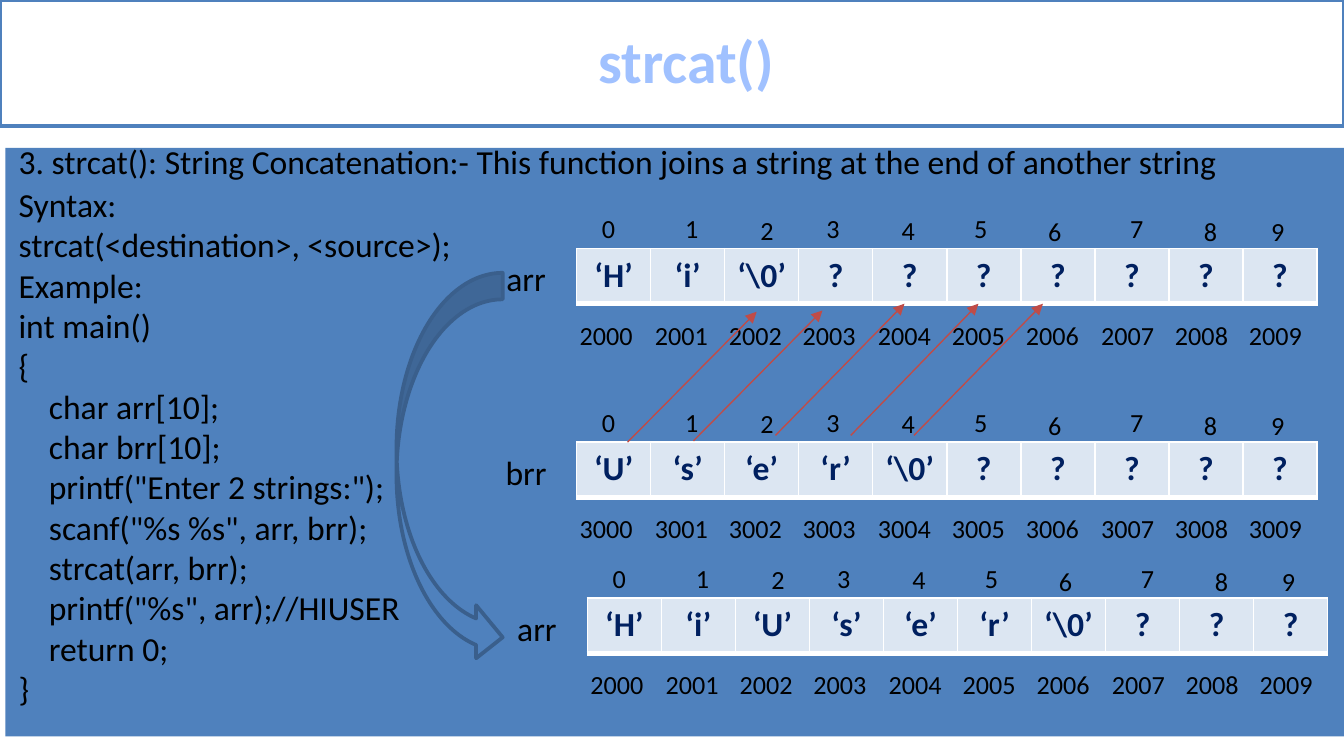
import math

import pptx
import pptx.dml.color
import pptx.enum.shapes
import pptx.enum.text
import pptx.oxml
import pptx.oxml.ns
import pptx.util
import lxml.etree

PX = 9144  # EMU per px, 100 px to the inch
COLORS = {
    "blue": "4F81BD", "edge": "3A5F8C", "white": "FFFFFF", "title": "A0C1FF",
    "text": "000000", "cell": "DCE6F2", "navy": "002060", "red": "BF4C48",
}
SHAPE = pptx.enum.shapes.MSO_SHAPE
CENTER = pptx.enum.text.PP_ALIGN.CENTER
MIDDLE = pptx.enum.text.MSO_ANCHOR.MIDDLE
GROW = pptx.enum.text.MSO_AUTO_SIZE.SHAPE_TO_FIT_TEXT

CODE = """Syntax:
strcat(<destination>, <source>);
Example:
int main()
{
    char arr[10];
    char brr[10];
    printf("Enter 2 strings:");
    scanf("%s %s", arr, brr);
    strcat(arr, brr);
    printf("%s", arr);//HIUSER
    return 0;
}"""

# Name, box left, box top, first address, characters
ARRAYS = [
    ("arr", 366, 153, 2000, ["‘H’", "‘i’", "‘\\0’"]),
    ("brr", 366, 297, 3000, ["‘U’", "‘s’", "‘e’", "‘r’", "‘\\0’"]),
    ("arr", 374, 413, 2000, ["‘H’", "‘i’", "‘U’", "‘s’", "‘e’", "‘r’", "‘\\0’"]),
]
SLOTS = 10
INDEX_X = [72, 134, 190, 239, 295, 349, 404, 465, 520, 570]
INDEX_Y = [0, 0, 1, 0, 1, 0, 2, 0, 2, 2]
# Start and end of each copied character's arrow
COPIES = [(467, 329, 563, 232), (516, 328, 612, 231), (577, 324, 673, 226),
          (633, 324, 728, 226), (680, 324, 776, 226)]


def emu(*lengths):
    return [pptx.util.Emu(n * PX) for n in lengths]


def rgb(name):
    return pptx.dml.color.RGBColor.from_string(COLORS[name])


def write(tf, text, size, color="text", bold=False, **fmt):
    for i, line in enumerate(text.split("\n")):
        p = tf.paragraphs[0] if i == 0 else tf.add_paragraph()
        for key, value in fmt.items():
            setattr(p, key, value)
        r = p.add_run()
        r.text = line
        font = {"name": "Calibri", "size": pptx.util.Pt(size), "bold": bold}
        for key, value in font.items():
            setattr(r.font, key, value)
        r.font.color.rgb = rgb(color)


def add_text(s, box, text, size, wrap=True, anchor=None, **fmt):
    tf = s.shapes.add_textbox(*emu(*box)).text_frame
    frame = {"word_wrap": wrap, "auto_size": GROW, "vertical_anchor": anchor}
    for key, value in frame.items():
        setattr(tf, key, value)
    write(tf, text, size, **fmt)


def add_label(s, box, text, size):
    add_text(s, box, text, size, anchor=MIDDLE, alignment=CENTER)


def add_block(s, kind, box, fill, line=None):
    sp = s.shapes.add_shape(kind, *emu(*box))
    sp.shadow.inherit = False
    sp.fill.solid()
    sp.fill.fore_color.rgb = rgb(fill)
    if line:
        sp.line.color.rgb = rgb(line)
        sp.line.width = pptx.util.Pt(2)
    else:
        sp.line.fill.background()
    return sp


def set_borders(cell):
    pr = cell._tc.get_or_add_tcPr()
    for i, (side, width) in enumerate([("L", 1), ("R", 1), ("T", 1), ("B", 3)]):
        pr.insert(i, pptx.oxml.parse_xml(
            f'<a:ln{side} {pptx.oxml.ns.nsdecls("a")} w="{width * 12700}">'
            f'<a:solidFill><a:srgbClr val="{COLORS["white"]}"/></a:solidFill>'
            f'</a:ln{side}>'))


def add_title(s, box):
    tf = add_block(s, SHAPE.RECTANGLE, box, "white", "blue").text_frame
    tf.vertical_anchor = MIDDLE
    tf.margin_left = emu(31)[0]
    write(tf, "strcat()", 32, "title", True, alignment=CENTER, line_spacing=0.96)


def add_code(s, x, y):
    add_block(s, SHAPE.RECTANGLE, (x, y + 10, 1000, 438), "blue")
    add_text(s, (x, y, 985, 40), "3. strcat(): String Concatenation:- "
             "This function joins a string at the end of another string", 18)
    add_text(s, (x, y + 32, 346, 404), CODE, 18, wrap=False)


def add_array(s, name, x, y, address, chars):
    # Cells
    tb = s.shapes.add_table(1, SLOTS, *emu(x + 63, y + 32, 551, 41)).table
    tb.first_row = tb.horz_banding = False
    for cell, char in zip(tb.iter_cells(), chars + ["?"] * (SLOTS - len(chars))):
        cell.fill.solid()
        cell.fill.fore_color.rgb = rgb("cell")
        cell.margin_left = cell.margin_right = emu(8)[0]
        set_borders(cell)
        write(cell.text_frame, char, 18, "navy", True, alignment=CENTER)
    # Name, addresses below and indexes above
    add_label(s, (x, y + 34, 51, 40), name, 18)
    for i in range(SLOTS):
        left = x + 54 + math.ceil(i * 55.3)
        add_label(s, (left, y + 79, 62, 34), str(address + i), 14)
        add_label(s, (x + INDEX_X[i], y + INDEX_Y[i], 29, 34), str(i), 14)


def add_arrow(s, ends):
    kind = pptx.enum.shapes.MSO_CONNECTOR.STRAIGHT
    cx = s.shapes.add_connector(kind, *emu(*ends))
    cx.line.color.rgb = rgb("red")
    cx.line.width = pptx.util.Pt(0.75)
    qn = pptx.oxml.ns.qn
    ln = cx.line._get_or_add_ln()
    lxml.etree.SubElement(ln, qn("a:tailEnd"), type="triangle")
    lxml.etree.SubElement(cx._element.spPr, qn("a:effectLst"))


def main():
    prs = pptx.Presentation()
    prs.slide_width = emu(1000)[0]
    prs.slide_height = prs.slide_width * 9 // 16
    s = prs.slides.add_slide(prs.slide_layouts[6])
    add_code(s, 4, 100)
    add_title(s, (0, 0, 1000, 94))
    for array in ARRAYS:
        add_array(s, *array)
    for ends in COPIES:
        add_arrow(s, ends)
    # Result arrow from the first array to the last
    add_block(s, SHAPE.CURVED_RIGHT_ARROW, (295, 203, 79, 291), "blue", "edge")
    prs.save("out.pptx")


if __name__ == "__main__":
    main()
